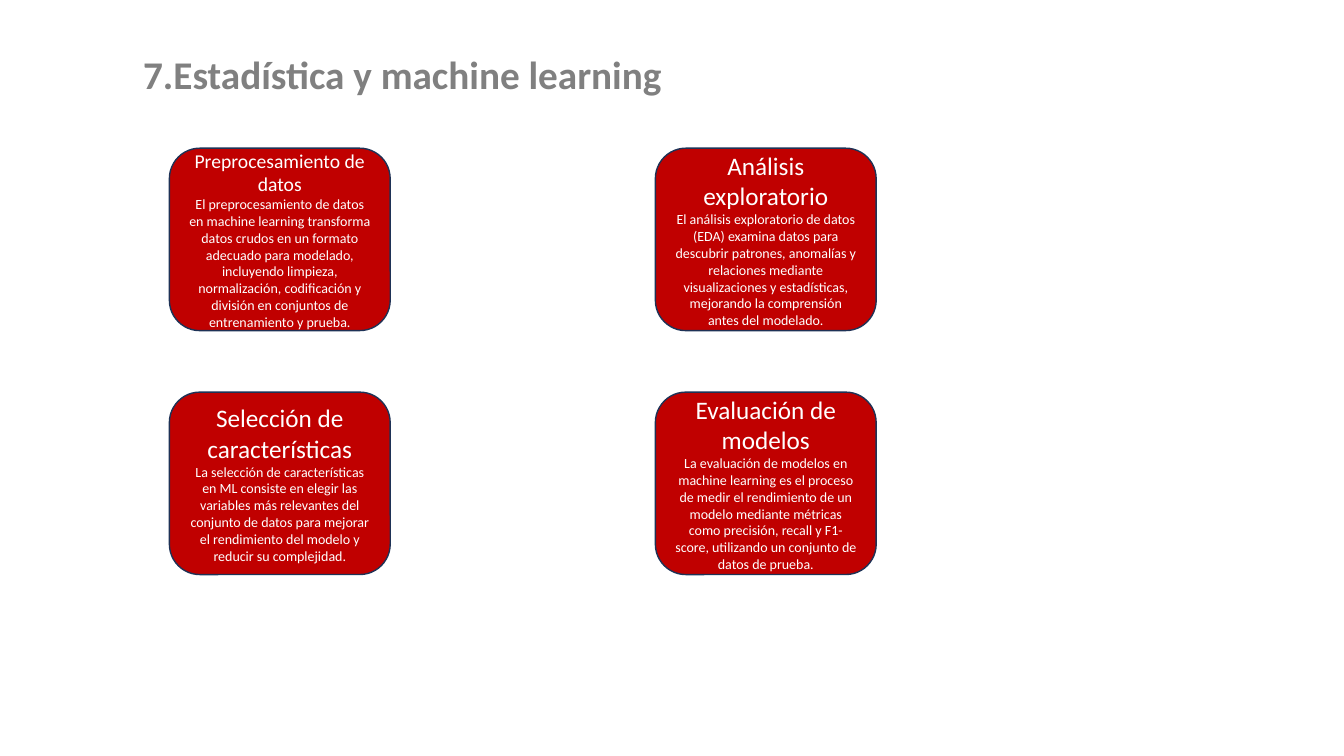
from dataclasses import dataclass

from pptx import Presentation
from pptx.dml.color import RGBColor
from pptx.enum.shapes import MSO_SHAPE
from pptx.enum.text import MSO_ANCHOR, MSO_AUTO_SIZE, PP_ALIGN
from pptx.util import Pt

PX = 9144


@dataclass(frozen=True)
class Theme:
    """Hold the font, colours and type sizes of the slide."""
    font: str = "Calibri"
    title: str = "808080"
    card: str = "C00000"
    outline: str = "1E3256"
    text: str = "FFFFFF"
    title_size: int = 28
    body_size: int = 10


THEME = Theme()
TITLE = "7.Estadística y machine learning"
CARDS = [
    ("Preprocesamiento de datos", 14,
     "El preprocesamiento de datos en machine learning transforma datos crudos en un "
     "formato adecuado para modelado, incluyendo limpieza, normalización, codificación "
     "y división en conjuntos de entrenamiento y prueba."),
    ("Análisis exploratorio", 18,
     "El análisis exploratorio de datos (EDA) examina datos para descubrir patrones, "
     "anomalías y relaciones mediante visualizaciones y estadísticas, mejorando la "
     "comprensión antes del modelado."),
    ("Selección de características", 18,
     "La selección de características en ML consiste en elegir las variables más "
     "relevantes del conjunto de datos para mejorar el rendimiento del modelo y "
     "reducir su complejidad."),
    ("Evaluación de modelos", 18,
     "La evaluación de modelos en machine learning es el proceso de medir el "
     "rendimiento de un modelo mediante métricas como precisión, recall y F1-score, "
     "utilizando un conjunto de datos de prueba."),
]


def style_font(font, size, color, bold=False):
    """Apply the theme font with a size, colour and weight."""
    font.name = THEME.font
    font.size = Pt(size)
    font.bold = bold
    font.color.rgb = RGBColor.from_string(color)


def add_title(s, x, y, w, h):
    """Place the slide title in the given box."""
    sp = s.shapes.title
    sp.left, sp.top, sp.width, sp.height = (v * PX for v in (x, y, w, h))
    tf = sp.text_frame
    tf.text = TITLE
    tf.word_wrap = True
    tf.auto_size = MSO_AUTO_SIZE.NONE
    tf.vertical_anchor = MSO_ANCHOR.TOP
    tf.margin_left, tf.margin_top = 18 * PX, 9 * PX
    tf.margin_right = tf.margin_bottom = 0
    p = tf.paragraphs[0]
    p.alignment = PP_ALIGN.LEFT
    p.line_spacing = Pt(23.7)
    p.space_before = Pt(0)
    style_font(p.runs[0].font, THEME.title_size, THEME.title, True)


def add_card(s, x, y, w, h, heading, heading_size, body):
    """Draw a rounded card with a heading and its explanation."""
    sp = s.shapes.add_shape(MSO_SHAPE.ROUNDED_RECTANGLE, *(v * PX for v in (x, y, w, h)))
    sp.shadow.inherit = False
    sp.fill.solid()
    sp.fill.fore_color.rgb = RGBColor.from_string(THEME.card)
    sp.line.color.rgb = RGBColor.from_string(THEME.outline)
    sp.line.width = Pt(1)
    tf = sp.text_frame
    tf.word_wrap = True
    tf.vertical_anchor = MSO_ANCHOR.MIDDLE
    tf.text = f"{heading}\n{body}"
    for p, size in zip(tf.paragraphs, (heading_size, THEME.body_size)):
        p.alignment = PP_ALIGN.CENTER
        style_font(p.runs[0].font, size, THEME.text)


def add_card_grid(s, x, y, w, h, card_w=219, card_h=181):
    """Spread the cards over the corners of the given box."""
    for i, card in enumerate(CARDS):
        row, col = divmod(i, 2)
        add_card(s, x + col * (w - card_w), y + row * (h - card_h), card_w, card_h, *card)


def main():
    """Build and save the slide."""
    prs = Presentation()
    prs.slide_width, prs.slide_height = 1333 * PX, 750 * PX
    s = prs.slides.add_slide(prs.slide_layouts[5])
    add_title(s, 124, 55, 951, 86)
    add_card_grid(s, 168, 147, 701, 423)
    prs.save("out.pptx")


if __name__ == "__main__":
    main()
